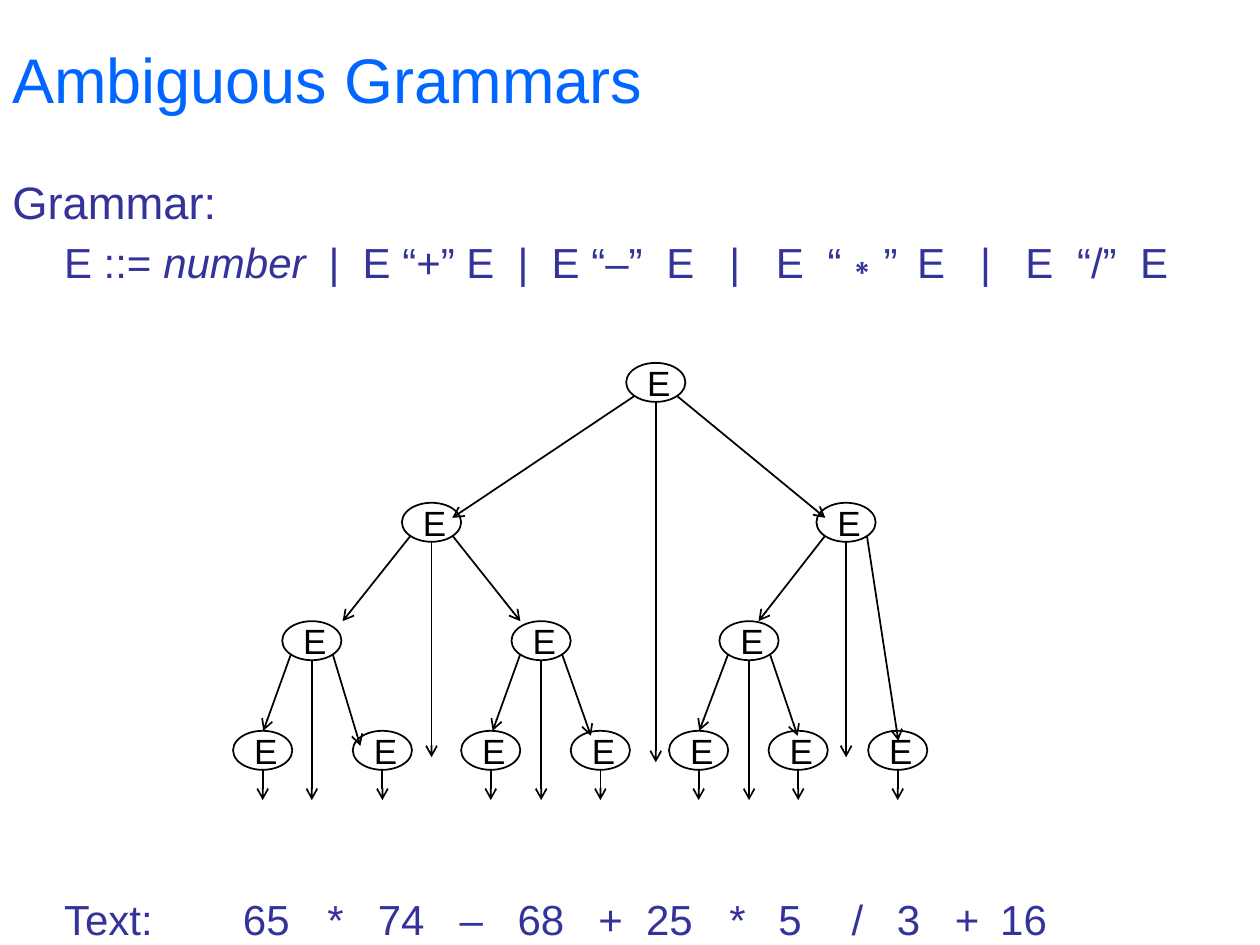
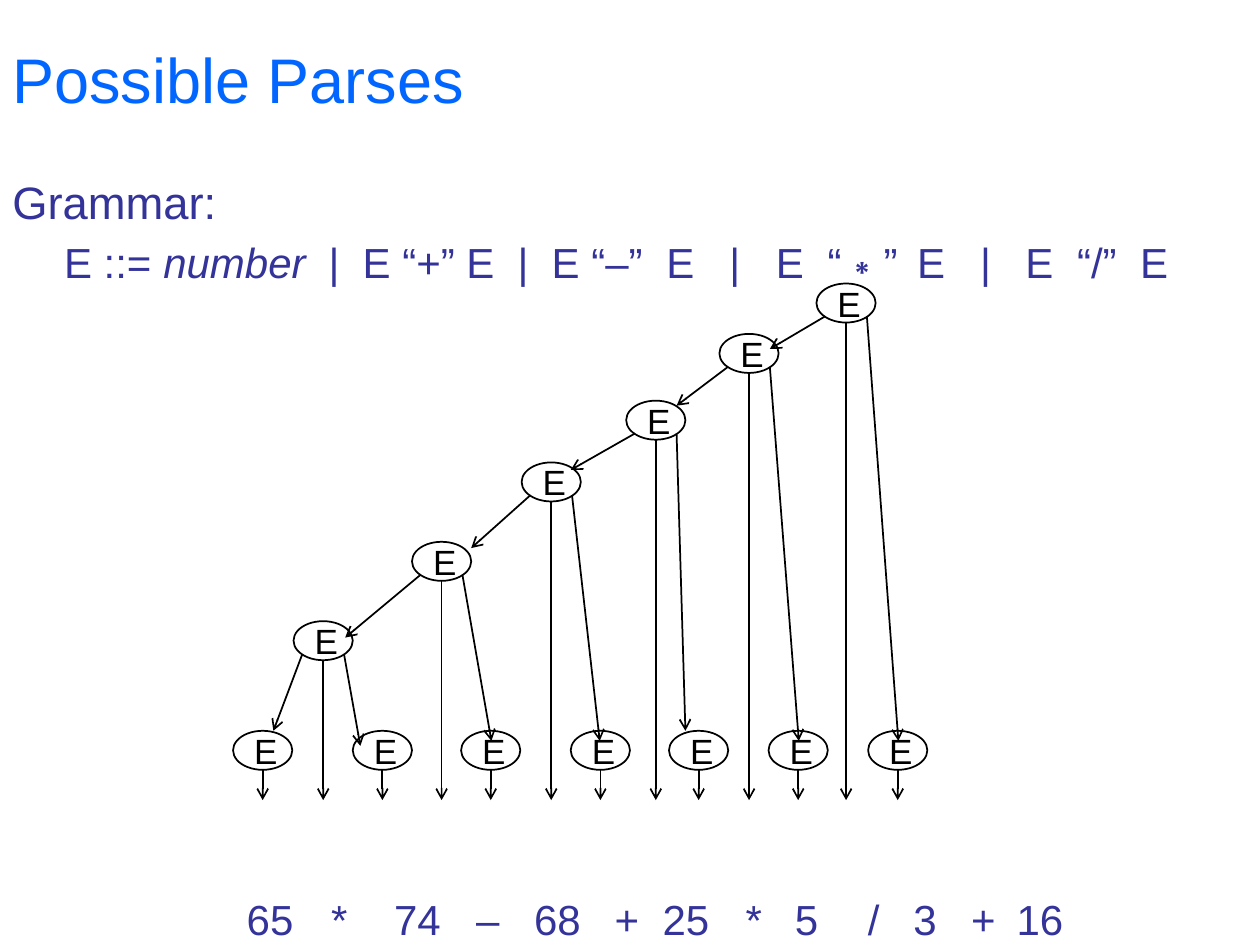
from dataclasses import dataclass

from lxml.etree import SubElement
from pptx import Presentation
from pptx.dml.color import RGBColor as Color
from pptx.enum.shapes import MSO_CONNECTOR as Connector, MSO_SHAPE as Shape
from pptx.enum.text import MSO_ANCHOR as Anchor, PP_ALIGN as Align
from pptx.oxml.ns import qn
from pptx.util import Inches, Pt


@dataclass(frozen=True)
class Theme:
    font: str = "Arial"
    title_color: Color = Color(0x00, 0x66, 0xFF)
    body_color: Color = Color(0x33, 0x33, 0x99)
    ink: Color = Color(0, 0, 0)
    title_size: float = 36
    heading_size: float = 25.9
    body_size: float = 24
    node_size: float = 20
    line_width: float = 1


@dataclass(frozen=True)
class Box:
    left: float
    top: float
    width: float
    height: float


@dataclass(frozen=True)
class Node:
    """An inner tree node: its corner, the foot of its stem and its child arrows' ends."""
    left: float
    top: float
    left_end: tuple
    right_end: tuple
    stem_foot: float = 4.1


THEME = Theme()
TITLE = Box(0, 0, 10, 1.25)
GRAMMAR = Box(0, 1.33, 10, 1.05)
TREE = Box(1.85, 2.25, 5.51, 4.1)
SENTENCE = Box(0.41, 7.04, 9.59, 0.46)

NODE_WIDTH, NODE_HEIGHT = 0.47, 0.31
LEAF_LEFTS = (0, 0.95, 1.81, 2.68, 3.46, 4.25, 5.04)
LEAF_TOP, FLOOR = 3.55, 4.1

RULE_PARTS = ("|", "E “+” E", "|", "E “–”", "E", "|", "E", "“∗”", "E",
              "|", "E", "“/”", "E")
RULE_TABS = (2.1, 2.37, 3.6, 3.87, 4.78, 5.28, 5.65, 6.06, 6.77,
             7.27, 7.63, 8.04, 8.54)
TOKENS = ("65", "*", "74", "–", "68", "+", "25", "*", "5", "/", "3", "+", "16")
TOKEN_TABS = (1.42, 2.09, 2.49, 3.14, 3.6, 4.24, 4.62, 5.28, 5.67,
              6.25, 6.61, 7.07, 7.43)

BALANCED_TREE = (
    Node(0.39, 2.68, (0.24, 3.55), (1.01, 3.67)),
    Node(2.21, 2.68, (2.06, 3.55), (2.84, 3.59)),
    Node(3.86, 2.68, (3.7, 3.55), (4.48, 3.59)),
    Node(1.34, 1.74, (0.87, 2.68), (2.28, 2.68), 3.76),
    Node(4.63, 1.74, (4.17, 2.68), (5.28, 3.63), 3.76),
    Node(3.12, 0.63, (1.74, 1.86), (4.7, 1.86), 3.8),
)
LEFT_TREE = (
    Node(0.48, 2.68, (0.32, 3.55), (1.01, 3.67)),
    Node(1.42, 2.05, (0.89, 2.81), (2.05, 3.63)),
    Node(2.29, 1.42, (1.89, 2.1), (2.91, 3.63)),
    Node(3.12, 0.93, (2.68, 1.48), (3.59, 3.55)),
    Node(3.86, 0.4, (3.52, 0.97), (4.49, 3.63)),
    Node(4.63, 0, (4.26, 0.52), (5.28, 3.63)),
)


def write(frame, *texts, size, color, italic=(), tabs=(), anchor=Anchor.TOP, wrap=True):
    """Fill a frame with one paragraph of runs; italic holds the slanted runs' indexes."""
    frame.word_wrap = wrap
    frame.vertical_anchor = anchor
    para = frame.paragraphs[0]
    para.alignment = Align.LEFT
    if tabs:
        tab_list = SubElement(para._p.get_or_add_pPr(), qn("a:tabLst"))
        for stop in tabs:
            SubElement(tab_list, qn("a:tab"), pos=str(Inches(stop)), algn="l")
    for index, text in enumerate(texts):
        span = para.add_run()
        span.text = text
        span.font.name = THEME.font
        span.font.size = Pt(size)
        span.font.color.rgb = color
        span.font.italic = index in italic


def add_text(page, box, *texts, **style):
    area = page.shapes.add_textbox(Inches(box.left), Inches(box.top),
                                   Inches(box.width), Inches(box.height))
    write(area.text_frame, *texts, **style)


def add_arrow(page, box, start, end):
    arrow = page.shapes.add_connector(
        Connector.STRAIGHT,
        Inches(box.left + start[0]), Inches(box.top + start[1]),
        Inches(box.left + end[0]), Inches(box.top + end[1]))
    arrow.line.color.rgb = THEME.ink
    arrow.line.width = Pt(THEME.line_width)
    SubElement(arrow.line._get_or_add_ln(), qn("a:tailEnd"), type="arrow")
    SubElement(arrow._element.spPr, qn("a:effectLst"))


def add_node(page, box, left, top, stem_foot):
    oval = page.shapes.add_shape(Shape.OVAL, Inches(box.left + left), Inches(box.top + top),
                                 Inches(NODE_WIDTH), Inches(NODE_HEIGHT))
    oval.shadow.inherit = False
    oval.fill.background()
    oval.line.color.rgb = THEME.ink
    oval.line.width = Pt(THEME.line_width)
    write(oval.text_frame, "E", size=THEME.node_size, color=THEME.ink,
          anchor=Anchor.MIDDLE, wrap=False)
    middle = left + NODE_WIDTH / 2
    add_arrow(page, box, (middle, top + NODE_HEIGHT), (middle, stem_foot))


def add_tree(page, box, nodes):
    for left in LEAF_LEFTS:
        add_node(page, box, left, LEAF_TOP, FLOOR)
    for node in nodes:
        add_node(page, box, node.left, node.top, node.stem_foot)
        shoulder = node.top + 0.26
        add_arrow(page, box, (node.left + 0.07, shoulder), node.left_end)
        add_arrow(page, box, (node.left + 0.4, shoulder), node.right_end)


def add_title(page, box, title):
    add_text(page, box, title, size=THEME.title_size, color=THEME.title_color,
             anchor=Anchor.MIDDLE)


def add_grammar(page, box):
    heading = Box(box.left, box.top, box.width, 0.5)
    rule = Box(box.left + 0.41, box.top + 0.5, box.width - 0.41, 0.5)
    add_text(page, heading, "Grammar:", size=THEME.heading_size, color=THEME.body_color)
    add_text(page, rule, "E ::= ", "number", "\t" + "\t".join(RULE_PARTS),
             size=THEME.body_size, color=THEME.body_color, italic=(1,), tabs=RULE_TABS)


def add_sentence(page, box, label, tabs):
    add_text(page, box, "\t".join((label, *TOKENS)), size=THEME.body_size,
             color=THEME.body_color, tabs=tabs)


def add_parse_page(deck, title, nodes, label, tabs):
    page = deck.slides.add_slide(deck.slide_layouts[6])
    add_title(page, TITLE, title)
    add_grammar(page, GRAMMAR)
    add_sentence(page, SENTENCE, label, tabs)
    add_tree(page, TREE, nodes)


def main():
    deck = Presentation()
    deck.slide_width, deck.slide_height = Inches(10), Inches(7.5)
    add_parse_page(deck, "Ambiguous Grammars", BALANCED_TREE, "Text:", TOKEN_TABS)
    shifted_tabs = [stop + (0.03 if index < 2 else 0.13)
                    for index, stop in enumerate(TOKEN_TABS)]
    add_parse_page(deck, "Possible Parses", LEFT_TREE, "", shifted_tabs)
    deck.save("out.pptx")


if __name__ == "__main__":
    main()
